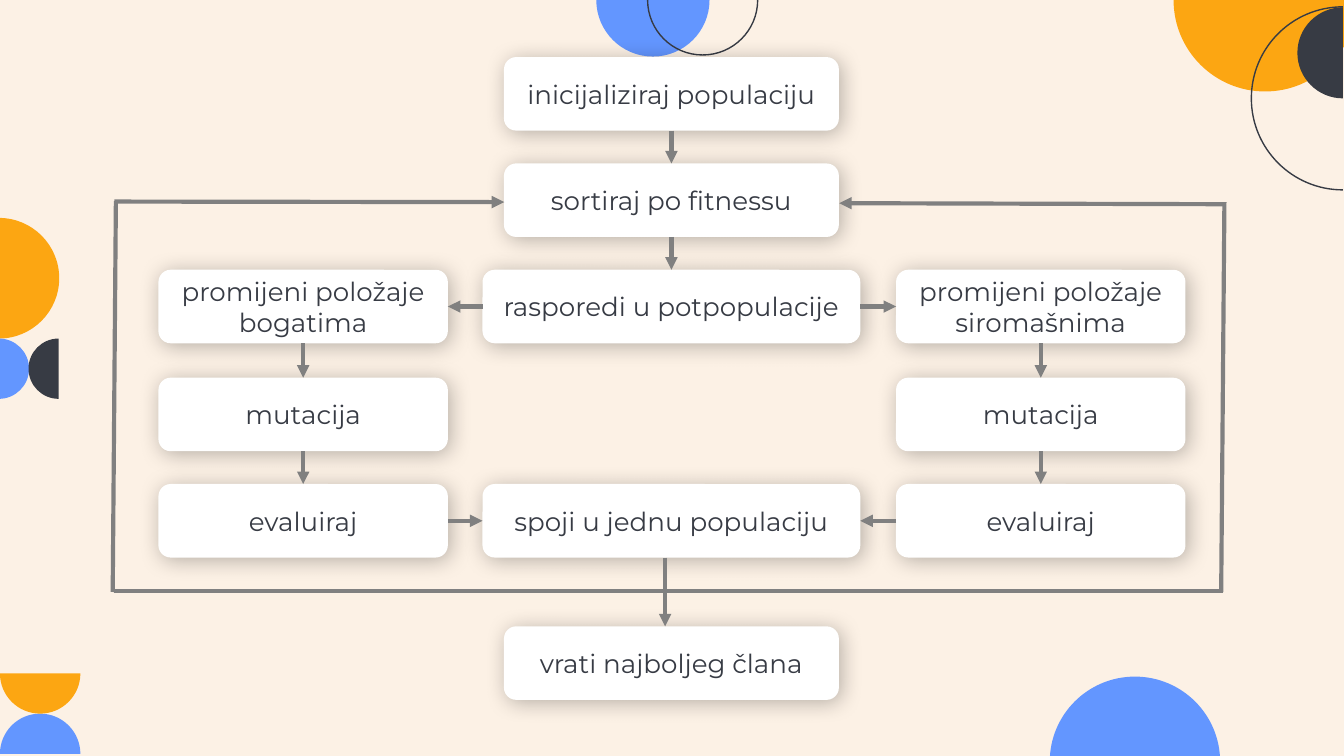
from math import cos, radians, sin
from typing import NamedTuple, Optional

from lxml import etree
from pptx import Presentation
from pptx.dml.color import RGBColor
from pptx.enum.shapes import MSO_CONNECTOR, MSO_SHAPE
from pptx.enum.text import MSO_ANCHOR, PP_ALIGN
from pptx.oxml.ns import qn
from pptx.util import Cm, Pt

STRAIGHT = MSO_CONNECTOR.STRAIGHT
ROUNDED = MSO_SHAPE.ROUNDED_RECTANGLE
CENTER = PP_ALIGN.CENTER
MIDDLE = MSO_ANCHOR.MIDDLE

COLORS = {
    "background": "FCF1E5",
    "orange": "FCA612",
    "blue": "6396FF",
    "dark": "373B44",
    "white": "FFFFFF",
    "arrow": "808080",
    "shadow": "000000",
}
FONT = "Montserrat"

# Flowchart grid, in cm
LEFT, MID, RIGHT = 5.73, 12.69, 19.67
NARROW, MEDIUM, WIDE = 5.47, 6.33, 7.14
ROWS = (1.08, 3.09, 5.1, 7.14, 9.15, 11.84)
BOX_HEIGHT = 1.39

# Handle length of a cubic curve for a quarter circle of radius 1
QUARTER = 0.5523

# Connection sites of a rounded rectangle
TOP_SITE, LEFT_SITE, BOTTOM_SITE, RIGHT_SITE = range(4)


class Arc(NamedTuple):
    """Half circle: filled, or only outlined when fill is None."""
    x: float
    y: float
    radius: float
    start: int
    fill: Optional[str] = None


class Box(NamedTuple):
    text: str
    x: float
    top: float
    width: float


class Link(NamedTuple):
    source: str
    source_site: int
    target: str
    target_site: int


class Segment(NamedTuple):
    x1: float
    y1: float
    x2: float
    y2: float
    arrow: bool = False


def rgb(name: str) -> RGBColor:
    return RGBColor.from_string(COLORS[name])


def round_quarters(sp) -> None:
    """Turn the two straight sides of a half circle into quarter curves."""
    points = [(int(pt.get("x")), int(pt.get("y"))) for pt in sp._element.iter(qn("a:pt"))]
    center = [(a + b) / 2 for a, b in zip(points[0], points[2])]
    sides = list(sp._element.iter(qn("a:lnTo")))
    for side, p0, p1 in zip(sides, points, points[1:]):
        side.tag = qn("a:cubicBezTo")
        handles = [[round(a + QUARTER * (b - c)) for a, b, c in zip(near, far, center)]
                   for near, far in ((p0, p1), (p1, p0))]
        for i, (x, y) in enumerate(handles):
            side.insert(i, etree.Element(qn("a:pt"), x=str(x), y=str(y)))


def draw_arc(slide, arc: Arc) -> None:
    """Draw a half circle clockwise from the start angle."""
    angles = [radians(arc.start + turn) for turn in (0, 90, 180)]
    points = [(Cm(arc.x + arc.radius * cos(a)), Cm(arc.y + arc.radius * sin(a)))
              for a in angles]
    builder = slide.shapes.build_freeform(*points[0])
    builder.add_line_segments(points[1:], close=arc.fill is not None)
    sp = builder.convert_to_shape()
    round_quarters(sp)
    sp.shadow.inherit = False
    if arc.fill:
        sp.fill.solid()
        sp.fill.fore_color.rgb = rgb(arc.fill)
        sp.line.fill.background()
    else:
        sp.fill.background()
        sp.line.color.rgb = rgb("dark")
        sp.line.width = Pt(0.75)


def add_soft_shadow(sp) -> None:
    sp.shadow.inherit = False
    effects = sp._element.spPr.find(qn("a:effectLst"))
    shadow = etree.SubElement(effects, qn("a:outerShdw"), blurRad=str(Pt(12)),
                              dist=str(Pt(2)), dir=str(45 * 60000),
                              algn="ctr", rotWithShape="0")
    color = etree.SubElement(shadow, qn("a:srgbClr"), val=COLORS["shadow"])
    etree.SubElement(color, qn("a:alpha"), val="28000")


def draw_box(slide, box: Box):
    sp = slide.shapes.add_shape(ROUNDED, Cm(box.x - box.width / 2), Cm(box.top),
                                Cm(box.width), Cm(BOX_HEIGHT))
    sp.fill.solid()
    sp.fill.fore_color.rgb = rgb("white")
    sp.line.fill.background()
    add_soft_shadow(sp)
    tf = sp.text_frame
    tf.word_wrap = True
    tf.vertical_anchor = MIDDLE
    p = tf.paragraphs[0]
    p.text = box.text
    p.alignment = CENTER
    p.font.name = FONT
    p.font.size = Pt(14)
    p.font.color.rgb = rgb("dark")
    return sp


def draw_segment(slide, segment: Segment):
    line = slide.shapes.add_connector(STRAIGHT, *(Cm(v) for v in segment[:4]))
    line.line.color.rgb = rgb("arrow")
    line.line.width = Pt(2.25)
    if segment.arrow:
        etree.SubElement(line.line._get_or_add_ln(), qn("a:tailEnd"), type="triangle")
    etree.SubElement(line._element.spPr, qn("a:effectLst"))
    return line


def draw_link(slide, link: Link, shapes: dict) -> None:
    line = draw_segment(slide, Segment(0, 0, 1, 1, arrow=True))
    line.begin_connect(shapes[link.source], link.source_site)
    line.end_connect(shapes[link.target], link.target_site)


ARCS = [
    Arc(23.91, 0, 1.73, 0, "orange"),
    Arc(0.76, 14.25, 0.76, 180, "blue"),
    Arc(0.76, 12.73, 0.76, 0, "orange"),
    Arc(12.34, 0, 1.07, 0, "blue"),
    Arc(13.28, 0, 1.04, 0),
    Arc(-0.02, 5.26, 1.14, 270, "orange"),
    Arc(-0.02, 6.97, 0.57, 270, "blue"),
    Arc(1.11, 6.97, 0.57, 90, "dark"),
    Arc(25.38, 1, 0.86, 90, "dark"),
    Arc(25.38, 1.86, 1.73, 90),
    Arc(21.45, 14.4, 1.61, 180, "blue"),
]

BOXES = {
    "init": Box("inicijaliziraj populaciju", MID, ROWS[0], MEDIUM),
    "sort": Box("sortiraj po fitnessu", MID, ROWS[1], MEDIUM),
    "split": Box("rasporedi u potpopulacije", MID, ROWS[2], WIDE),
    "rich": Box("promijeni položaje bogatima", LEFT, ROWS[2], NARROW),
    "poor": Box("promijeni položaje siromašnima", RIGHT, ROWS[2], NARROW),
    "rich_mutate": Box("mutacija", LEFT, ROWS[3], NARROW),
    "poor_mutate": Box("mutacija", RIGHT, ROWS[3], NARROW),
    "rich_eval": Box("evaluiraj", LEFT, ROWS[4], NARROW),
    "poor_eval": Box("evaluiraj", RIGHT, ROWS[4], NARROW),
    "merge": Box("spoji u jednu populaciju", MID, ROWS[4], WIDE),
    "result": Box("vrati najboljeg člana", MID, ROWS[5], MEDIUM),
}

DOWNWARD = [
    ("init", "sort"), ("sort", "split"),
    ("poor", "poor_mutate"), ("poor_mutate", "poor_eval"),
    ("rich", "rich_mutate"), ("rich_mutate", "rich_eval"),
]
LINKS = [Link(a, BOTTOM_SITE, b, TOP_SITE) for a, b in DOWNWARD] + [
    Link("rich_eval", RIGHT_SITE, "merge", LEFT_SITE),
    Link("split", RIGHT_SITE, "poor", LEFT_SITE),
    Link("split", LEFT_SITE, "rich", RIGHT_SITE),
    Link("poor_eval", LEFT_SITE, "merge", RIGHT_SITE),
]

# Exit arrow and the loop back to sorting
LOOP = [
    Segment(12.57, 10.54, 12.57, ROWS[5], arrow=True),
    Segment(23.14, 3.86, 15.86, 3.84, arrow=True),
    Segment(2.16, 3.81, 9.53, 3.82, arrow=True),
    Segment(12.57, 11.17, 2.16, 11.17),
    Segment(23.11, 11.17, 12.59, 11.17),
    Segment(2.13, 11.19, 2.19, 3.8),
    Segment(23.08, 11.19, 23.14, 3.82),
]


def main() -> None:
    prs = Presentation()
    prs.slide_width, prs.slide_height = Cm(25.4), Cm(14.29)
    slide = prs.slides.add_slide(prs.slide_layouts[6])
    slide.background.fill.solid()
    slide.background.fill.fore_color.rgb = rgb("background")

    for arc in ARCS:
        draw_arc(slide, arc)
    shapes = {name: draw_box(slide, box) for name, box in BOXES.items()}
    for link in LINKS:
        draw_link(slide, link, shapes)
    for segment in LOOP:
        draw_segment(slide, segment)
    prs.save("out.pptx")


if __name__ == "__main__":
    main()
